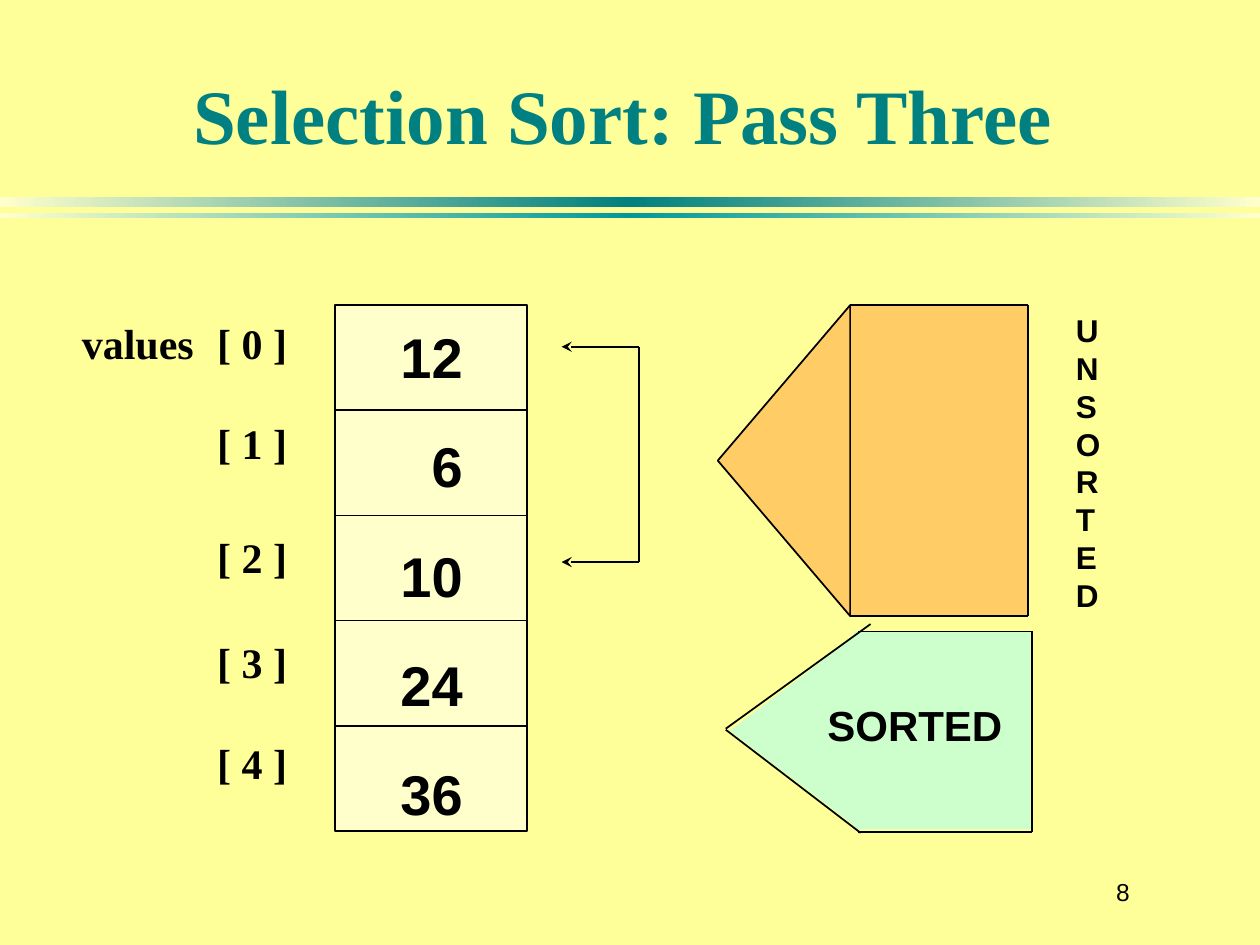
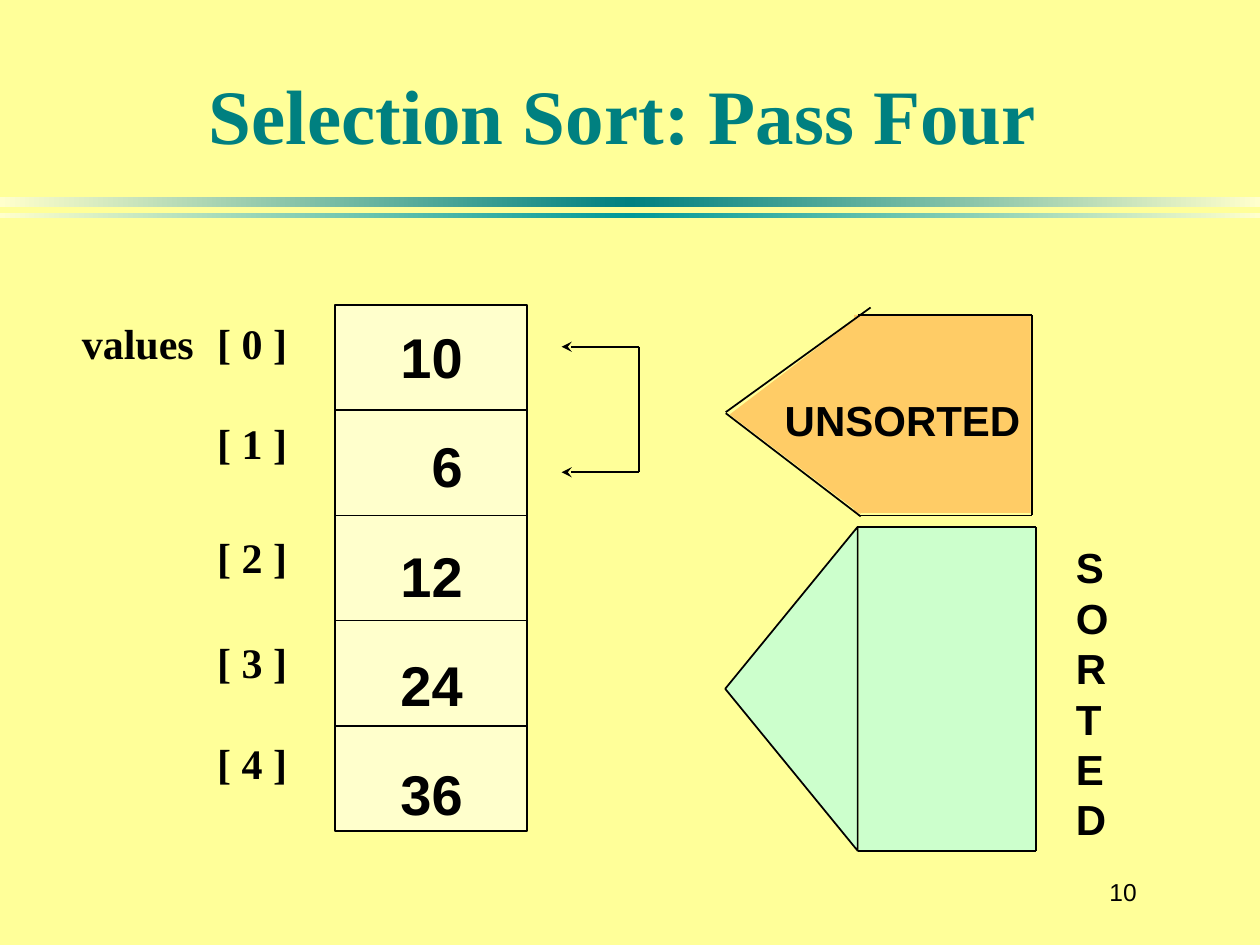
import copy

import pptx
import pptx.dml.color
import pptx.enum.shapes
import pptx.enum.text
import pptx.oxml.ns
import pptx.oxml.xmlchemy
import pptx.util

Cm = pptx.util.Cm
Pt = pptx.util.Pt
PRESET = pptx.enum.shapes.MSO_SHAPE
ALIGN = pptx.enum.text.PP_ALIGN
ANCHOR = pptx.enum.text.MSO_ANCHOR
qn = pptx.oxml.ns.qn

PAPER, CREAM, TEAL, LIGHT_TEAL = "FFFF99", "FFFFCC", "008080", "009999"
UNSORTED_FILL, SORTED_FILL, BLACK = "FFCC66", "CCFFCC", "000000"
SERIF, SANS = "Times New Roman", "Arial"

INDEX_GAPS = (0, 28.8, 36, 31.2, 28.8)  # points above each index label
ARRAY_LEFT, ARRAY_TOP, ARRAY_WIDTH, ROW_HEIGHT, ROWS = 6.76, 6.15, 3.86, 2.12, 5
SWAP_TOP = 6.99


def rgb(code):
    return pptx.dml.color.RGBColor.from_string(code)


def add_child(parent, tag, **attributes):
    child = pptx.oxml.xmlchemy.OxmlElement(tag)
    for key, value in attributes.items():
        child.set(key, value)
    parent.append(child)
    return child


# Basic elements

def add_box(slide, preset, left, top, width, height, fill, outlined=False):
    box = slide.shapes.add_shape(preset, Cm(left), Cm(top), Cm(width), Cm(height))
    box.shadow.inherit = False
    box.fill.solid()
    box.fill.fore_color.rgb = rgb(fill)
    if outlined:
        box.line.color.rgb = rgb(BLACK)
        box.line.width = Pt(1)
    else:
        box.line.fill.background()
    return box


def add_left_triangle(slide, left, top, width, height, fill, outlined=False):
    """Triangle pointing left that covers the given area once it is turned."""
    turned_left = left + (width - height) / 2
    turned_top = top + (height - width) / 2
    triangle = add_box(slide, PRESET.ISOSCELES_TRIANGLE, turned_left, turned_top,
                       height, width, fill, outlined)
    triangle.rotation = 270


def add_line(slide, x1, y1, x2, y2, arrow=False):
    line = slide.shapes.add_connector(pptx.enum.shapes.MSO_CONNECTOR.STRAIGHT,
                                      Cm(x1), Cm(y1), Cm(x2), Cm(y2))
    line.line.color.rgb = rgb(BLACK)
    line.line.width = Pt(1)
    if arrow:
        add_child(line.line._get_or_add_ln(), "a:headEnd", type="stealth")
    add_child(line.element.spPr, "a:effectLst")


def style_paragraph(paragraph, font, size, color=BLACK, bold=True, align=ALIGN.LEFT):
    paragraph.alignment = align
    for run in paragraph.runs:
        run.font.name = font
        run.font.size = Pt(size)
        run.font.bold = bold
        run.font.color.rgb = rgb(color)


def add_text(slide, left, top, width, height, lines, size, font=SANS, bold=True,
             align=ALIGN.LEFT, gaps=None, tab=None, wrap=True):
    """Text box with one paragraph a line; gaps are the points above each."""
    frame = slide.shapes.add_textbox(Cm(left), Cm(top), Cm(width), Cm(height)).text_frame
    frame.word_wrap = wrap
    frame.text = "\n".join(lines)
    for paragraph, gap in zip(frame.paragraphs, gaps or [0] * len(lines)):
        if tab:
            stops = add_child(paragraph._p.get_or_add_pPr(), "a:tabLst")
            add_child(stops, "a:tab", pos=str(Cm(tab)), algn="l")
        paragraph.line_spacing = Pt(1.2 * size)
        if gap:
            paragraph.space_before = Pt(gap)
        style_paragraph(paragraph, font, size, bold=bold, align=align)
    return frame


# Shared layout

def add_band(slide, top, height, middle):
    band = add_box(slide, PRESET.RECTANGLE, 0, top, 25.4, height, CREAM)
    band.fill.gradient()
    band.fill.gradient_angle = 0
    start, centre = band.fill.gradient_stops
    start.color.rgb = rgb(CREAM)
    centre.color.rgb = rgb(middle)
    centre.position = 0.5
    stops = band.element.spPr.find(".//" + qn("a:gsLst"))
    stops.append(copy.deepcopy(stops[0]))
    stops[-1].set("pos", "100000")
    return band


def prepare_layout(layout, slide):
    """Set the title place and move the two bands from the slide to its layout."""
    title = layout.placeholders[0]
    title.left, title.top, title.width, title.height = Cm(2.03), Cm(0.18), Cm(21.06), Cm(3.18)
    title.text_frame.vertical_anchor = ANCHOR.BOTTOM
    tree = layout.element.find(".//" + qn("p:spTree"))
    for number, band in enumerate((add_band(slide, 3.97, 0.2, TEAL),
                                   add_band(slide, 4.29, 0.1, LIGHT_TEAL))):
        band.element.find(".//" + qn("p:cNvPr")).set("id", str(90 + number))
        tree.append(band.element)


def fill_title(slide, text):
    frame = slide.shapes.title.text_frame
    frame.text = text
    frame.auto_size = pptx.enum.text.MSO_AUTO_SIZE.NONE
    style_paragraph(frame.paragraphs[0], SERIF, 44, TEAL, align=ALIGN.CENTER)


def add_page_number(slide, number):
    frame = add_text(slide, 21.79, 17.35, 1.7, 1.27, [str(number)], 14,
                     bold=False, align=ALIGN.CENTER)
    frame.vertical_anchor = ANCHOR.MIDDLE


# Parts of the sorting diagram

def add_array(slide, values):
    indices = [f"\t[ {i} ]" for i in range(ROWS)]
    indices[0] = "values" + indices[0]
    add_text(slide, 1.4, 6.27, 6.17, 9.5, indices, 24, SERIF, gaps=INDEX_GAPS, tab=2.73)
    add_box(slide, PRESET.RECTANGLE, ARRAY_LEFT, ARRAY_TOP, ARRAY_WIDTH,
            ROWS * ROW_HEIGHT, CREAM, outlined=True)
    for row in range(1, ROWS):
        y = ARRAY_TOP + row * ROW_HEIGHT
        add_line(slide, ARRAY_LEFT, y, ARRAY_LEFT + ARRAY_WIDTH, y)
    add_text(slide, 7.04, 6.38, 2.54, 10.41, [str(v) for v in values], 32,
             align=ALIGN.RIGHT, gaps=[0] + [24] * (ROWS - 1))


def add_swap(slide, bottom):
    add_line(slide, 12.88, SWAP_TOP, 12.88, bottom)
    for y in (SWAP_TOP, bottom):
        add_line(slide, 11.32, y, 12.88, y, arrow=True)


def add_tall_marker(slide, left, top, height, fill, word, word_top, size):
    """Marker for three or more cells, with its word written downwards."""
    body, right, bottom = left + 2.67, left + 6.26, top + height
    add_left_triangle(slide, left, top, 2.67, height, fill, outlined=True)
    add_box(slide, PRESET.RECTANGLE, body + 0.02, top, 3.57, height, fill)
    for y in (top, bottom):
        add_line(slide, body, y, right, y)
    add_line(slide, right, top, right, bottom)
    add_text(slide, 21.44, word_top, 1.2, 6.35, list(word), size, wrap=False)


def add_short_marker(slide, top, fill, word, word_left, word_top):
    """Marker for two cells, with its word written across."""
    tip, body, right, bottom = 14.63, 17.3, 20.8, top + 4.04
    add_left_triangle(slide, 14.71, top, 2.64, 4.01, fill)
    add_box(slide, PRESET.RECTANGLE, 17.22, top, 3.56, 3.99, fill)
    for y in (top, bottom):
        add_line(slide, body, y, right, y)
    add_line(slide, right, top, right, bottom)
    add_line(slide, tip, top + 1.98, 17.35, bottom + 0.02)
    add_line(slide, tip, top + 1.96, 17.55, top - 0.15)
    add_text(slide, word_left, word_top, 5.26, 1.27, [word], 24, wrap=False)


def add_pass(slide, title, values, swap_bottom, number):
    fill_title(slide, title)
    add_array(slide, values)
    add_swap(slide, swap_bottom)
    add_page_number(slide, number)


def main():
    deck = pptx.Presentation()
    deck.slide_width, deck.slide_height = Cm(25.4), Cm(19.05)
    background = deck.slide_master.background.fill
    background.solid()
    background.fore_color.rgb = rgb(PAPER)
    layout = deck.slide_layouts.get_by_name("Title Only")

    # Pass three
    third = deck.slides.add_slide(layout)
    prepare_layout(layout, third)
    add_pass(third, "Selection Sort: Pass Three", (12, 6, 10, 24, 36), 11.33, 8)
    add_tall_marker(third, 14.47, 6.15, 6.27, UNSORTED_FILL, "UNSORTED", 6.15, 18)
    add_short_marker(third, 12.73, SORTED_FILL, "SORTED", 16.43, 13.97)

    # Pass four
    fourth = deck.slides.add_slide(layout)
    add_pass(fourth, "Selection Sort: Pass Four", (10, 6, 12, 24, 36), 9.52, 10)
    add_tall_marker(fourth, 14.62, 10.62, 6.53, SORTED_FILL, "SORTED", 10.8, 24)
    add_short_marker(fourth, 6.35, UNSORTED_FILL, "UNSORTED", 15.57, 7.82)

    deck.save("out.pptx")


if __name__ == "__main__":
    main()
